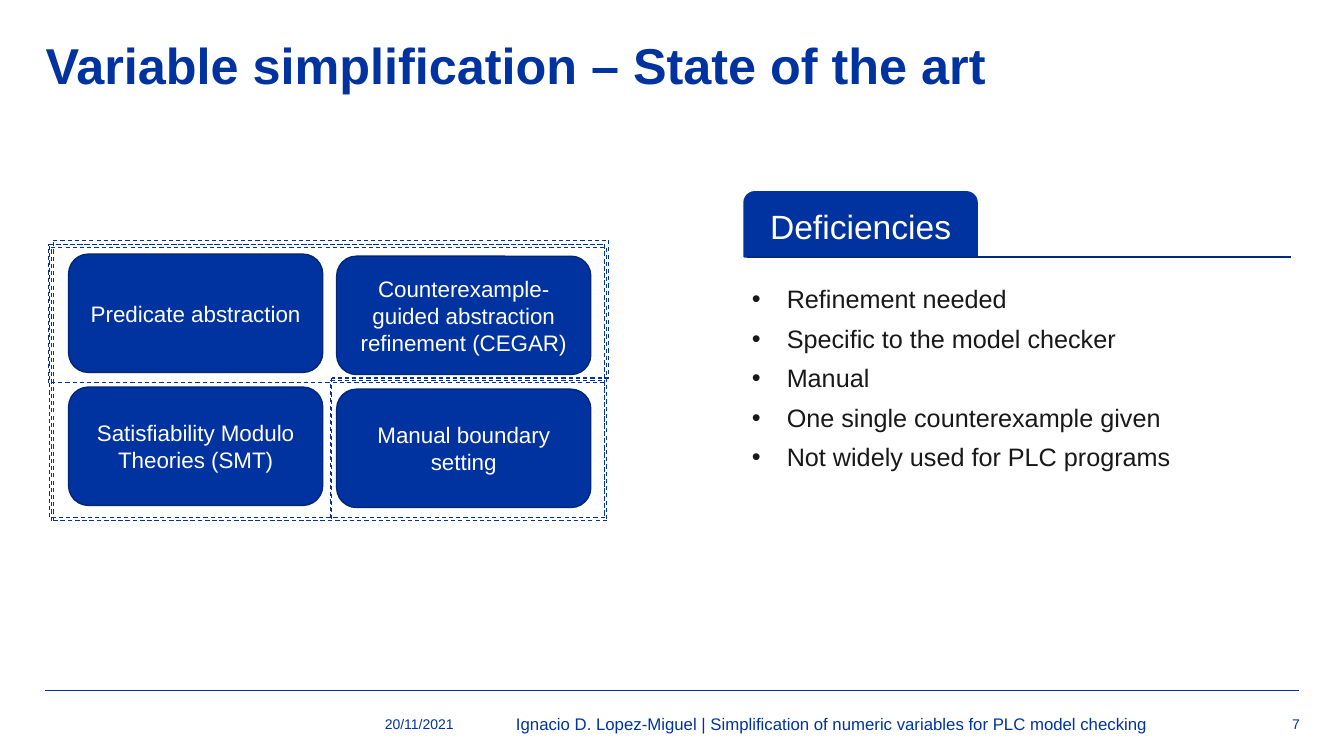
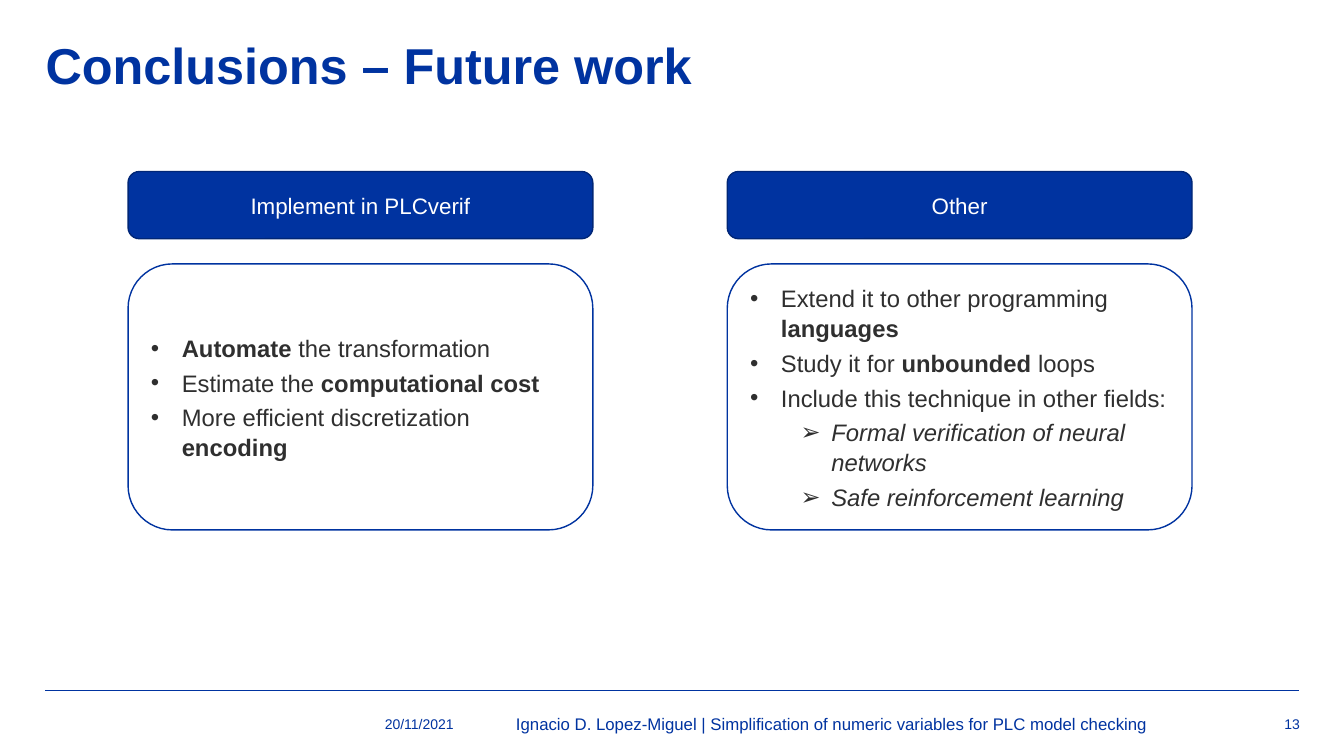
from dataclasses import dataclass
from itertools import pairwise

from lxml.etree import SubElement
from pptx import Presentation
from pptx.dml.color import RGBColor as RGB
from pptx.enum.dml import MSO_LINE as Dash
from pptx.enum.shapes import MSO_CONNECTOR as Wire, MSO_SHAPE as Form
from pptx.enum.text import MSO_ANCHOR as Anchor, MSO_AUTO_SIZE as Fit, PP_ALIGN as Align
from pptx.oxml.ns import qn
from pptx.util import Pt


@dataclass(frozen=True)
class Theme:
    font: str = "Arial"
    blue: RGB = RGB(0x00, 0x33, 0xA0)
    edge: RGB = RGB(0x00, 0x26, 0x76)
    rule: RGB = RGB(0x00, 0x29, 0x80)
    white: RGB = RGB(0xFF, 0xFF, 0xFF)
    ink: RGB = RGB(0x18, 0x18, 0x18)
    gray: RGB = RGB(0x2F, 0x2F, 0x2F)
    title: float = 36
    tab: float = 24
    list: float = 18
    panel: float = 17
    box: float = 16
    foot: float = 12
    small: float = 10
    thin: float = 0.75


def put(obj, **vals):
    """Set each named value as an attribute of obj."""
    for key, val in vals.items():
        setattr(obj, key, val)


def area(x, y, w, h):
    return Pt(x), Pt(y), Pt(w), Pt(h)


class Deck:
    """The presentation, its style and the slide being filled."""

    def __init__(self, theme):
        self.theme = theme
        self.prs = Presentation()
        put(self.prs, slide_width=Pt(960), slide_height=Pt(540))

    def page(self, title, num):
        """Start a slide with its title and footer."""
        look = self.theme
        self.slide = self.prs.slides.add_slide(self.prs.slide_layouts[5])
        head = self.slide.shapes.title
        x, y, w, h = area(32.5, 29.5, 895.5, 84)
        put(head, left=x, top=y, width=w, height=h)
        self.frame(head, Anchor.TOP, 0)
        para = head.text_frame.paragraphs[0]
        put(para, alignment=Align.LEFT, line_spacing=0.9)
        self.label(para, title, look.title, look.blue, bold=True)

        self.line((32.5, 493), (928, 493), look.blue)
        foot = "Ignacio D. Lopez-Miguel | Simplification of numeric variables for PLC model checking"
        for text, x, w, size, align in (
            ("20/11/2021", 254, 70, look.small, Align.RIGHT),
            (foot, 335.5, 517.5, look.foot, Align.CENTER),
            (str(num), 875, 53.5, look.small, Align.RIGHT),
        ):
            box = self.slide.shapes.add_textbox(*area(x, 502.5, w, 29))
            self.frame(box, Anchor.MIDDLE, 0)
            para = box.text_frame.paragraphs[0]
            para.alignment = align
            self.label(para, text, size, look.blue)

    def frame(self, shape, anchor, pad=None):
        put(shape.text_frame, word_wrap=True, auto_size=Fit.NONE, vertical_anchor=anchor)
        if pad is not None:
            for side in ("left", "right", "top", "bottom"):
                put(shape.text_frame, **{f"margin_{side}": Pt(pad)})

    def label(self, para, text, size, color, bold=False, **more):
        """Add text to a paragraph; parts between asterisks are bold."""
        for pos, part in enumerate(text.split("*")):
            if part:
                run = para.add_run()
                run.text = part
                put(run.font, name=self.theme.font, size=Pt(size),
                    bold=bold or pos % 2 == 1, **more)
                run.font.color.rgb = color

    def line(self, start, end, color, width=None, dash=None):
        ends = (Pt(val) for val in (*start, *end))
        wire = self.slide.shapes.add_connector(Wire.STRAIGHT, *ends)
        put(wire.line, width=Pt(width or self.theme.thin), dash_style=dash)
        wire.line.color.rgb = color
        SubElement(wire._element.spPr, qn("a:effectLst"))

    def loop(self, *dots):
        """Draw a closed dashed outline through the given points."""
        for start, end in pairwise((*dots, dots[0])):
            self.line(start, end, self.theme.blue, dash=Dash.DASH)

    def shape(self, form, spot, fill, edge):
        item = self.slide.shapes.add_shape(form, *area(*spot))
        item.shadow.inherit = False
        if fill is None:
            item.fill.background()
        else:
            item.fill.solid()
            item.fill.fore_color.rgb = fill
        item.line.width = Pt(1)
        item.line.color.rgb = edge
        self.frame(item, Anchor.MIDDLE)
        return item

    def box(self, text, *spot, size=None, form=Form.ROUNDED_RECTANGLE, edge=None):
        """Add a filled blue box with a centred label."""
        look = self.theme
        item = self.shape(form, spot, look.blue, edge or look.edge)
        para = item.text_frame.paragraphs[0]
        para.alignment = Align.CENTER
        self.label(para, text, size or look.box, look.white)

    def items(self, shape, rows, size, color, step, lead, before, after=0):
        """Fill a shape with bullets, given as (text, level) pairs."""
        body = shape.text_frame
        for pos, (text, level) in enumerate(rows):
            para = body.add_paragraph() if pos else body.paragraphs[0]
            put(para, alignment=Align.LEFT, line_spacing=lead, level=level,
                space_before=Pt(before if pos else 0), space_after=Pt(after))
            prop = para._p.get_or_add_pPr()
            prop.set("marL", str(Pt(step + 36 * level)))
            prop.set("indent", str(-Pt(step)))
            SubElement(prop, qn("a:buFont"), typeface=self.theme.font)
            SubElement(prop, qn("a:buChar"), char="➢" if level else "•")
            self.label(para, text, size, color, italic=level > 0)

    def panel(self, rows, *spot):
        look = self.theme
        item = self.shape(Form.ROUNDED_RECTANGLE, spot, None, look.blue)
        self.items(item, rows, look.panel, look.gray, step=22, lead=1.05, before=3.4)


def survey(deck):
    look = deck.theme
    deck.page("Variable simplification – State of the art", 7)

    names = (
        "Predicate abstraction",
        "Counterexample-guided abstraction refinement (CEGAR)",
        "Satisfiability Modulo Theories (SMT)",
        "Manual boundary setting",
    )
    for pos, name in enumerate(names):
        row, col = divmod(pos, 2)
        deck.box(name, 49 + 191.5 * col, 181.5 + 95 * row + 1.5 * col, 181.5, 84.5)

    tab = Form.ROUND_2_SAME_RECTANGLE
    deck.box("Deficiencies", 531.5, 137, 166.5, 46.5, size=look.tab, form=tab, edge=look.blue)
    deck.line((533.5, 183.5), (922.5, 183.5), look.rule, width=1)

    flaws = (
        "Refinement needed",
        "Specific to the model checker",
        "Manual",
        "One single counterexample given",
        "Not widely used for PLC programs",
    )
    text = deck.slide.shapes.add_textbox(*area(537, 205, 353.5, 139))
    deck.frame(text, Anchor.TOP, 0)
    rows = [(flaw, 0) for flaw in flaws]
    deck.items(text, rows, look.list, look.ink, step=25, lead=0.9, before=5, after=3.8)

    for x, y, right, low in (
        (34.5, 175, 431.5, 273.5),
        (35.5, 174.5, 432, 369.5),
        (236, 271.5, 432, 370),
        (36.5, 177, 433.5, 372),
    ):
        deck.loop((x, y), (right, y), (right, low), (x, low))
    deck.loop((38, 171.5), (435, 171.5), (435, 270), (237, 270), (237, 372), (38, 372))


def future(deck):
    deck.page("Conclusions – Future work", 13)
    plans = {
        "Implement in PLCverif": (
            ("*Automate* the transformation", 0),
            ("Estimate the *computational cost*", 0),
            ("More efficient discretization *encoding*", 0),
        ),
        "Other": (
            ("Extend it to other programming *languages*", 0),
            ("Study it for *unbounded* loops", 0),
            ("Include this technique in other fields:", 0),
            ("Formal verification of neural networks", 1),
            ("Safe reinforcement learning", 1),
        ),
    }
    for pos, (head, rows) in enumerate(plans.items()):
        x = 91.5 + 428 * pos
        deck.box(head, x, 122.5, 332, 48)
        deck.panel(rows, x, 188.5, 332, 190)


def main():
    deck = Deck(Theme())
    survey(deck)
    future(deck)
    deck.prs.save("out.pptx")


if __name__ == "__main__":
    main()
